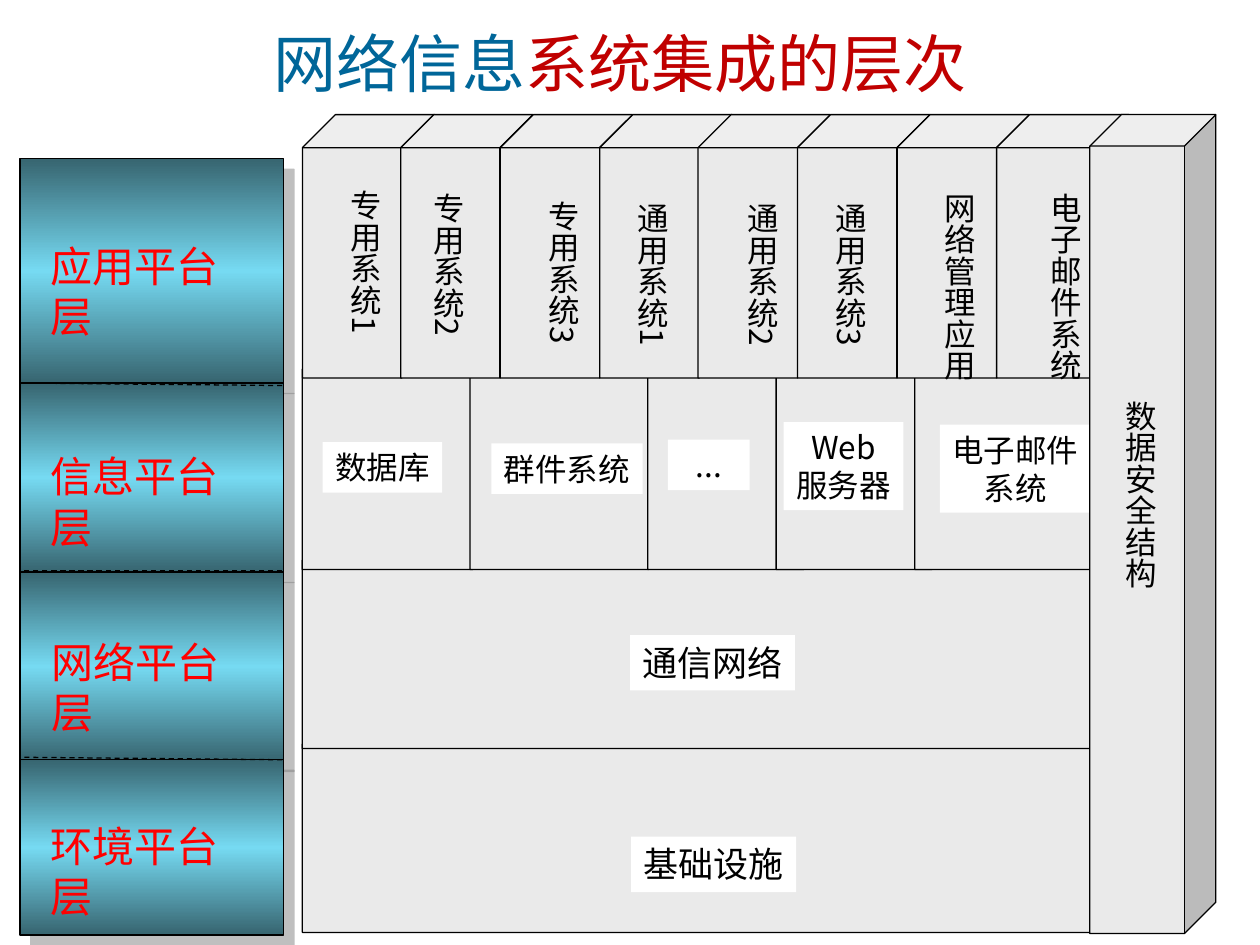
"""Build the slide on the layers of network information system integration."""
from copy import deepcopy

from lxml.etree import SubElement
from pptx import Presentation
from pptx.dml.color import RGBColor
from pptx.enum.dml import MSO_LINE
from pptx.enum.shapes import MSO_CONNECTOR, MSO_SHAPE as SHAPE
from pptx.enum.text import MSO_ANCHOR, MSO_AUTO_SIZE as AUTO, PP_ALIGN as ALIGN
from pptx.oxml.ns import qn
from pptx.util import Pt

PX = 9144
BLACK = RGBColor(0x00, 0x00, 0x00)
WHITE = RGBColor(0xFF, 0xFF, 0xFF)
RED = RGBColor(0xFF, 0x00, 0x00)
CRIMSON = RGBColor(0xC0, 0x00, 0x00)
BLUE = RGBColor(0x00, 0x66, 0x99)
GRAY = RGBColor(0xEA, 0xEA, 0xEA)
TEAL = RGBColor(0x37, 0x65, 0x70)
CYAN = RGBColor(0x76, 0xDA, 0xF2)
SANS = "Noto Sans CJK SC"

deck = Presentation()
deck.slide_width, deck.slide_height = 1000 * PX, 750 * PX
page = deck.slides.add_slide(deck.slide_layouts[6])


def add_block(kind, *place):
    block = page.shapes.add_shape(kind, *(n * PX for n in place))
    block.shadow.inherit = False
    block.fill.solid()
    block.fill.fore_color.rgb = GRAY
    block.line.color.rgb = BLACK
    block.line.width = Pt(0.75)
    return block


def add_label(text, place, size, name=SANS, color=BLACK, align=ALIGN.LEFT, back=None, vertical=False):
    label = page.shapes.add_textbox(*(n * PX for n in place))
    if back is not None:
        label.fill.solid()
        label.fill.fore_color.rgb = back
    frame = label.text_frame
    frame.word_wrap = False
    frame.auto_size = AUTO.SHAPE_TO_FIT_TEXT
    if vertical:
        frame._txBody.bodyPr.set("vert", "eaVert")
        frame.margin_left = frame.margin_right = 5 * PX
        frame.margin_top = frame.margin_bottom = 10 * PX
    frame.text = text
    for para in frame.paragraphs:
        para.alignment = align
        para.font.size = Pt(size)
        para.font.color.rgb = color
        para.font.name = name
        SubElement(para._p.pPr.find(qn("a:defRPr")), qn("a:ea"), typeface=SANS)
    return label


for top, height in [(126, 178), (304, 150), (454, 150), (603, 139)]:
    layer = add_block(SHAPE.RECTANGLE, 16, top, 209, height)
    layer.fill.gradient()
    layer.fill.gradient_angle = 270
    stop_list = layer._element.spPr.find(".//" + qn("a:gsLst"))
    stop_list.insert(1, deepcopy(stop_list[0]))
    for stop, color, position in zip(layer.fill.gradient_stops, (TEAL, CYAN, TEAL), (0, 0.5, 1)):
        stop.color.rgb = color
        stop.position = position
    effects = layer._element.spPr.find(qn("a:effectLst"))
    shadow = SubElement(effects, qn("a:outerShdw"), blurRad="0", dist=str(Pt(8.5)),
                        dir="2700000", algn="ctr", rotWithShape="0")
    tint = SubElement(shadow, qn("a:srgbClr"), val="808080")
    SubElement(tint, qn("a:alpha"), val="50000")

for right_y, left_y in [(306, 304), (453, 453), (603, 601)]:
    divider = page.shapes.add_connector(
        MSO_CONNECTOR.STRAIGHT, 224 * PX, right_y * PX, 16 * PX, left_y * PX)
    divider.line.color.rgb = BLACK
    divider.line.width = Pt(0.75)
    divider.line.dash_style = MSO_LINE.DASH
    SubElement(divider._element.spPr, qn("a:effectLst"))

for text, left, top in [("应用平台层", 30, 186), ("信息平台层", 30, 353),
                        ("网络平台层", 31, 500), ("环境平台层", 30, 646)]:
    add_label(text, (left, top, 186, 50), 24, "Times New Roman", RED)

title = add_label("", (51, 0, 882, 85), 36, "Arial", BLUE, ALIGN.CENTER)
title.text_frame.auto_size = AUTO.NONE
title.text_frame.word_wrap = True
title.text_frame.vertical_anchor = MSO_ANCHOR.BOTTOM
heading = title.text_frame.paragraphs[0]
heading.line_spacing = 0.9
for text, color in [("网络信息", BLUE), ("系统集成的层次", CRIMSON)]:
    span = heading.add_run()
    span.text = text
    span.font.color.rgb = color

for top in (541, 395):
    add_block(SHAPE.CUBE, 240, top, 683, 199)
for left, top, width in [(240, 248, 180), (373, 246, 189), (514, 246, 165),
                         (616, 246, 165), (726, 248, 188)]:
    add_block(SHAPE.CUBE, left, top, width, 452 - top)
for index in range(8):
    add_block(SHAPE.CUBE, 240 + 551 * index // 7, 91, 105, 209)

for text, place, size in [
    ("通信网络", (500, 504, 131, 44), 20),
    ("基础设施", (501, 664, 131, 44), 20),
    ("数据库", (256, 351, 95, 40), 18),
    ("群件系统", (390, 352, 120, 40), 18),
    ("...", (530, 349, 65, 40), 18),
    ("Web\n服务器", (622, 335, 95, 70), 18),
    ("电子邮件\n系统", (746, 337, 120, 70), 18),
]:
    add_label(text, place, size, align=ALIGN.CENTER, back=WHITE)

for text, left, top, height in [
    ("专用系统1", 260, 141, 131), ("专用系统2", 326, 143, 131),
    ("专用系统3", 417, 149, 131), ("通用系统1", 488, 151, 131),
    ("通用系统2", 575, 151, 131), ("通用系统3", 645, 151, 131),
    ("网络管理应用", 731, 143, 160), ("电子邮件系统", 815, 143, 160),
]:
    add_label(text, (left, top, 50, height), 18, vertical=True)

add_block(SHAPE.CUBE, 865, 91, 100, 650)
security = add_label("数据安全结构", (875, 308, 50, 251), 18, vertical=True)
security.text_frame.word_wrap = True

deck.save("out.pptx")
